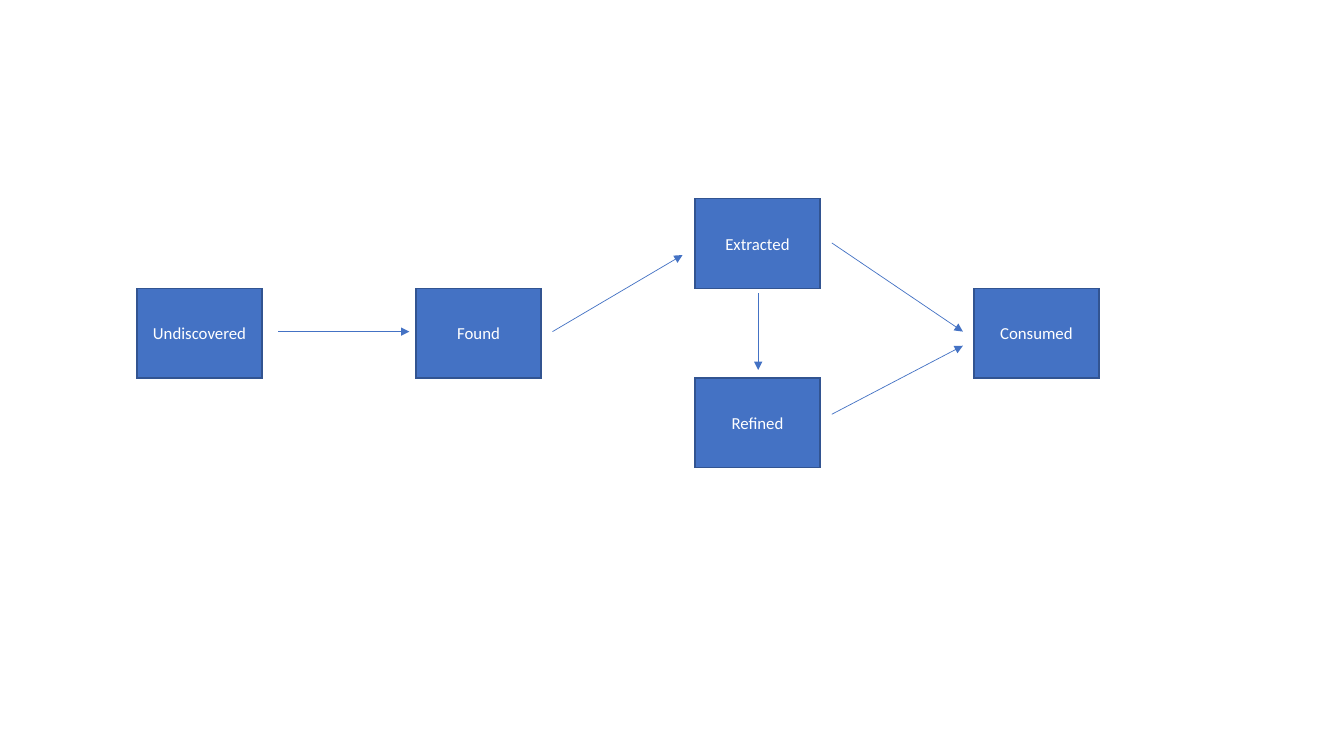
"""Build a slide showing the states of a resource from undiscovered to consumed."""
from lxml.etree import SubElement
from pptx import Presentation
from pptx.dml.color import RGBColor
from pptx.enum.shapes import MSO_CONNECTOR, MSO_SHAPE
from pptx.enum.text import MSO_ANCHOR, PP_ALIGN
from pptx.oxml.ns import qn
from pptx.util import Inches, Pt

BLUE = RGBColor(0x44, 0x72, 0xC4)
DARK_BLUE = RGBColor(0x32, 0x54, 0x91)
WHITE = RGBColor(0xFF, 0xFF, 0xFF)

BOX_WIDTH, BOX_HEIGHT = 1.24, 0.89
FIRST_LEFT, FIRST_TOP = 1.36, 1.97
COLUMN_STEP = 8.3 / 3

STATES = [
    ("Undiscovered", 0, 1),
    ("Found", 1, 1),
    ("Extracted", 2, 0),
    ("Refined", 2, 2),
    ("Consumed", 3, 1),
]
TRANSITIONS = [
    ((2.76, 3.29), (4.06, 3.29)),
    ((5.48, 3.29), (6.77, 2.53)),
    ((7.52, 2.91), (7.52, 3.67)),
    ((8.25, 2.41), (9.55, 3.29)),
    ((8.25, 4.11), (9.55, 3.43)),
]


def write_text(shape, text, *, size=12, font="Calibri", color=WHITE,
               align=PP_ALIGN.CENTER, anchor=MSO_ANCHOR.MIDDLE):
    frame = shape.text_frame
    frame.word_wrap = True
    frame.vertical_anchor = anchor
    paragraph = frame.paragraphs[0]
    paragraph.alignment = align
    run = paragraph.add_run()
    run.text = text
    run.font.size = Pt(size)
    run.font.name = font
    run.font.color.rgb = color


class StateDiagram:
    def __init__(self, slide, fill=BLUE, outline=DARK_BLUE):
        self.slide = slide
        self.fill = fill
        self.outline = outline

    def add_state(self, label, column, row):
        shape = self.slide.shapes.add_shape(
            MSO_SHAPE.RECTANGLE,
            Inches(FIRST_LEFT + column * COLUMN_STEP),
            Inches(FIRST_TOP + row * BOX_HEIGHT),
            Inches(BOX_WIDTH), Inches(BOX_HEIGHT))
        shape.shadow.inherit = False
        shape.fill.solid()
        shape.fill.fore_color.rgb = self.fill
        shape.line.color.rgb = self.outline
        shape.line.width = Pt(1)
        SubElement(shape._element.spPr.find(qn("a:ln")), qn("a:miter"), lim="800000")
        write_text(shape, label)

    def add_arrow(self, start, end):
        points = [Inches(value) for value in (*start, *end)]
        connector = self.slide.shapes.add_connector(MSO_CONNECTOR.STRAIGHT, *points)
        connector.line.color.rgb = self.fill
        connector.line.width = Pt(0.5)
        properties = connector._element.spPr
        SubElement(properties.find(qn("a:ln")), qn("a:tailEnd"), type="triangle")
        SubElement(properties, qn("a:effectLst"))


def main():
    presentation = Presentation()
    presentation.slide_width = Inches(13.33)
    presentation.slide_height = Inches(7.5)
    slide = presentation.slides.add_slide(presentation.slide_layouts[6])
    diagram = StateDiagram(slide)
    for label, column, row in STATES:
        diagram.add_state(label, column, row)
    for start, end in TRANSITIONS:
        diagram.add_arrow(start, end)
    presentation.save("out.pptx")


if __name__ == "__main__":
    main()
